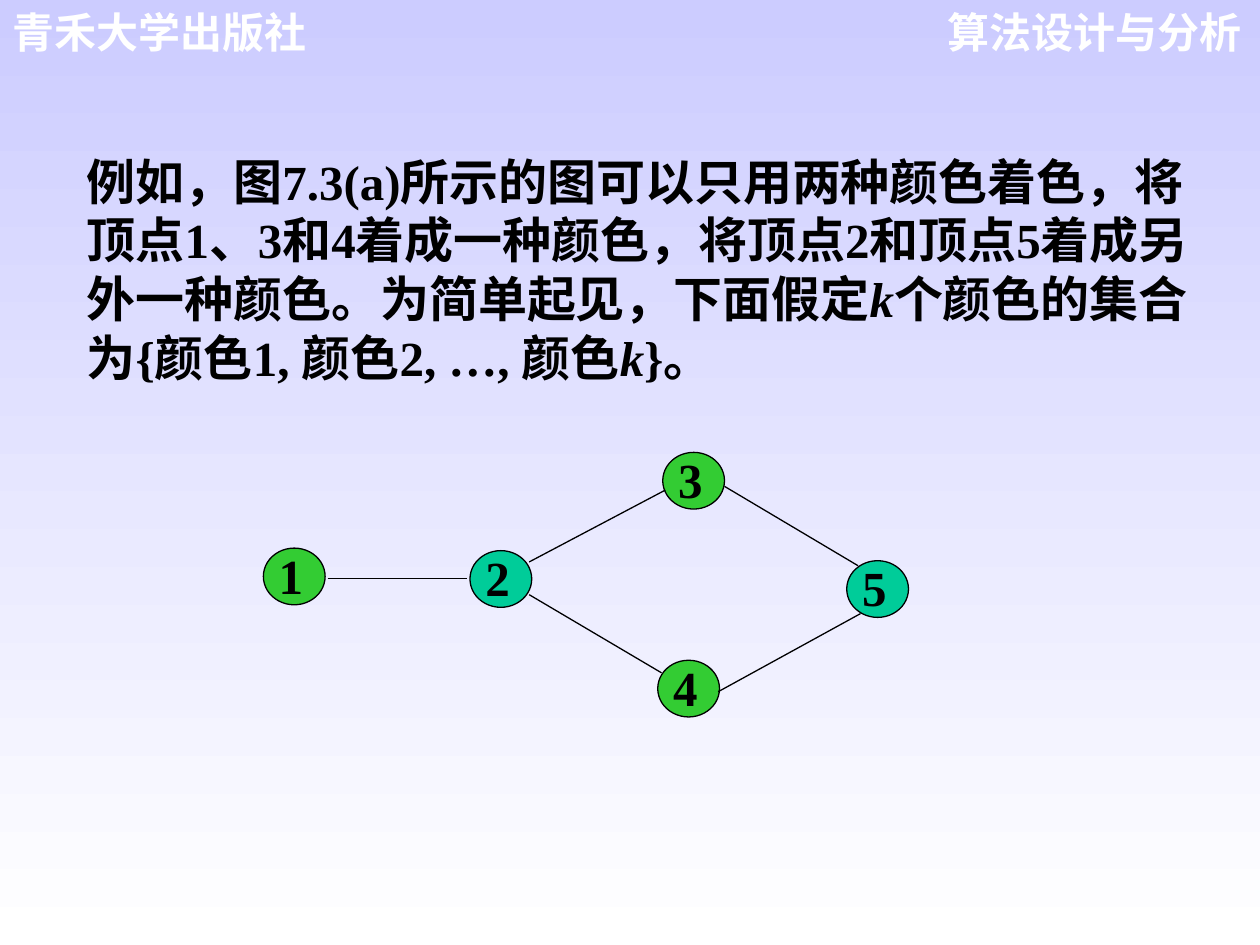
from dataclasses import dataclass

from lxml.etree import SubElement
from pptx import Presentation
from pptx.dml.color import RGBColor
from pptx.enum.shapes import MSO_CONNECTOR, MSO_SHAPE
from pptx.enum.text import MSO_ANCHOR, PP_ALIGN
from pptx.oxml.ns import qn
from pptx.util import Inches, Pt


@dataclass(frozen=True)
class Theme:
    sky: RGBColor = RGBColor(0xCC, 0xCC, 0xFF)
    white: RGBColor = RGBColor(0xFF, 0xFF, 0xFF)
    black: RGBColor = RGBColor(0, 0, 0)
    green: RGBColor = RGBColor(0x33, 0xCC, 0x33)
    teal: RGBColor = RGBColor(0, 0xCC, 0x99)
    header_font: str = "Arial"
    body_font: str = "Times New Roman"
    header_size: Pt = Pt(24)
    body_size: Pt = Pt(28)
    line_width: Pt = Pt(0.75)


@dataclass(frozen=True)
class Vertex:
    label: str
    left: float
    top: float
    color: RGBColor


@dataclass(frozen=True)
class Edge:
    start: tuple[float, float]
    end: tuple[float, float]


THEME = Theme()
HEADER = {"name": THEME.header_font, "size": THEME.header_size, "bold": True}
BODY = {"name": THEME.body_font, "size": THEME.body_size, "bold": True}
VERTEX_WIDTH, VERTEX_HEIGHT = Inches(0.49), Inches(0.45)

VERTICES = [
    Vertex("1", 2.09, 4.35, THEME.green),
    Vertex("2", 3.73, 4.37, THEME.teal),
    Vertex("3", 5.26, 3.59, THEME.green),
    Vertex("4", 5.22, 5.24, THEME.green),
    Vertex("5", 6.72, 4.45, THEME.teal),
]
EDGES = [
    Edge((2.6, 4.59), (3.71, 4.59)),
    Edge((4.2, 4.46), (5.28, 3.89)),
    Edge((4.2, 4.72), (5.25, 5.34)),
    Edge((5.7, 5.49), (6.83, 4.87)),
    Edge((6.81, 4.49), (5.75, 3.86)),
]
# Each piece of the paragraph with its italic flag
EXAMPLE = [
    ("例如，图7.3(a)所示的图可以只用两种颜色着色，将顶点1、3和4着成一种颜色，"
     "将顶点2和顶点5着成另外一种颜色。为简单起见，下面假定", False),
    ("k", True),
    ("个颜色的集合为{颜色1, 颜色2, …, 颜色", False),
    ("k", True),
    ("}。", False),
]


def set_all(target, values: dict) -> None:
    for name, value in values.items():
        setattr(target, name, value)


def add_span(para, text: str, font: dict, color: RGBColor) -> None:
    span = para.add_run()
    span.text = text
    set_all(span.font, font)
    span.font.color.rgb = color


def add_text_box(page, left: float, top: float, width: float, height: float):
    box = page.shapes.add_textbox(Inches(left), Inches(top), Inches(width), Inches(height))
    box.text_frame.word_wrap = True
    return box.text_frame.paragraphs[0]


def add_header(page, text: str, left: float, align: PP_ALIGN) -> None:
    para = add_text_box(page, left, 0, 2.71, 0.5)
    set_all(para, {"alignment": align, "space_before": Pt(15)})
    add_span(para, text, HEADER, THEME.white)


def add_vertex(page, vertex: Vertex) -> None:
    oval = page.shapes.add_shape(
        MSO_SHAPE.OVAL, Inches(vertex.left), Inches(vertex.top), VERTEX_WIDTH, VERTEX_HEIGHT)
    oval.shadow.inherit = False
    oval.fill.solid()
    oval.fill.fore_color.rgb = vertex.color
    oval.line.color.rgb = THEME.black
    oval.line.width = THEME.line_width
    set_all(oval.text_frame, {
        "margin_left": Inches(0.05), "margin_top": 0, "margin_right": 0,
        "margin_bottom": 0, "vertical_anchor": MSO_ANCHOR.TOP, "word_wrap": True})
    para = oval.text_frame.paragraphs[0]
    set_all(para, {"alignment": PP_ALIGN.JUSTIFY, "line_spacing": 0.8})
    add_span(para, vertex.label, BODY, THEME.black)


def add_edge(page, edge: Edge) -> None:
    points = [Inches(value) for value in edge.start + edge.end]
    line = page.shapes.add_connector(MSO_CONNECTOR.STRAIGHT, *points)
    line.line.color.rgb = THEME.black
    line.line.width = THEME.line_width
    SubElement(line._element.spPr, qn("a:effectLst"))


def main() -> None:
    deck = Presentation()
    deck.slide_width, deck.slide_height = Inches(10), Inches(7.5)
    page = deck.slides.add_slide(deck.slide_layouts[6])

    # Background fading from top to bottom
    fill = page.background.fill
    fill.gradient()
    fill.gradient_angle = 270
    for stop, color in zip(fill.gradient_stops, (THEME.sky, THEME.white)):
        stop.color.rgb = color

    # Headers
    add_header(page, "算法设计与分析", 7.24, PP_ALIGN.RIGHT)
    add_header(page, "青禾大学出版社", 0, PP_ALIGN.LEFT)

    # Coloured graph
    for vertex in VERTICES:
        add_vertex(page, vertex)
    for edge in EDGES:
        add_edge(page, edge)

    # Example paragraph
    para = add_text_box(page, 0.59, 1.15, 9.13, 1.97)
    for text, italic in EXAMPLE:
        add_span(para, text, BODY | {"italic": italic}, THEME.black)

    deck.save("out.pptx")


if __name__ == "__main__":
    main()
